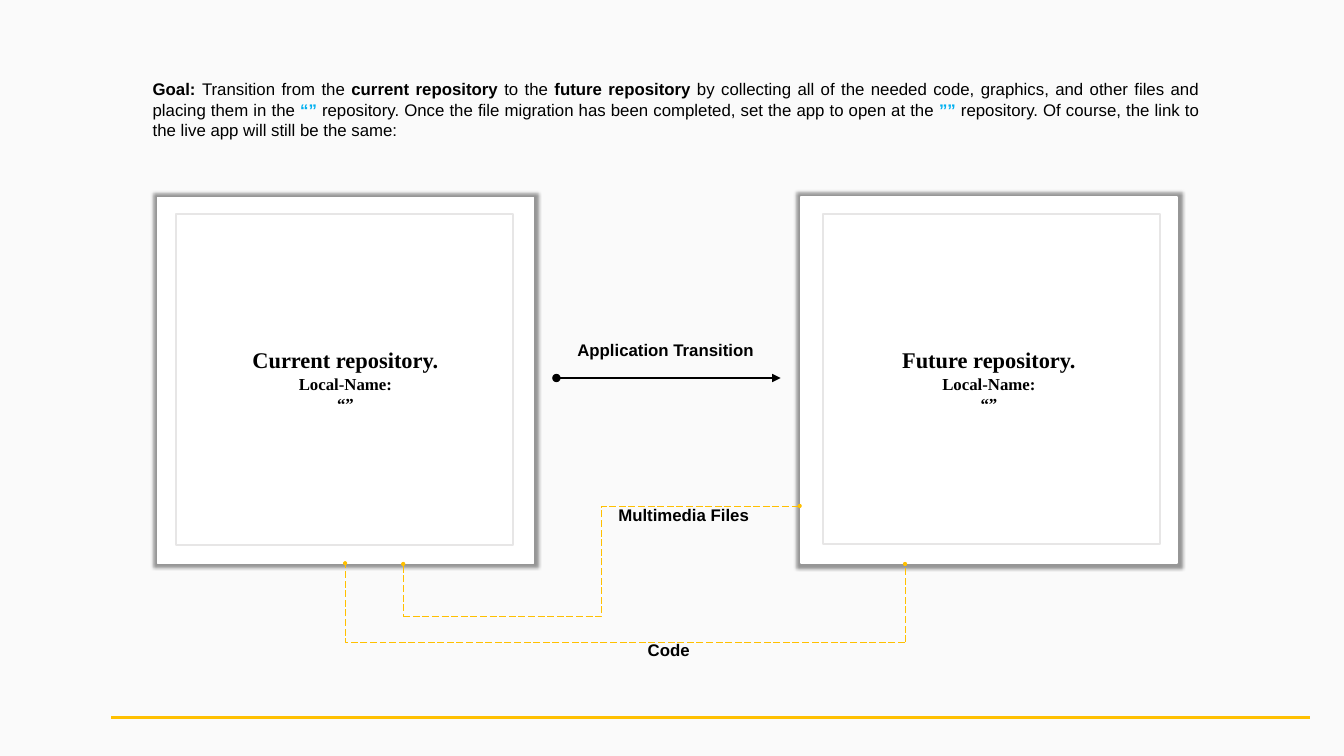
"""Build the repository transition slide."""
from lxml.etree import SubElement
from pptx import Presentation
from pptx.dml.color import RGBColor
from pptx.enum.dml import MSO_LINE_DASH_STYLE as Dash
from pptx.enum.shapes import MSO_CONNECTOR as Connector, MSO_SHAPE as Shape
from pptx.enum.text import MSO_ANCHOR as Anchor, PP_ALIGN as Align
from pptx.oxml.ns import qn
from pptx.util import Inches, Pt

BLACK = RGBColor(0x00, 0x00, 0x00)
WHITE = RGBColor(0xFF, 0xFF, 0xFF)
PAPER = RGBColor(0xFA, 0xFA, 0xFA)
GREY = RGBColor(0xE7, 0xE6, 0xE6)
GOLD = RGBColor(0xFF, 0xC0, 0x00)
BLUE = RGBColor(0x00, 0xB0, 0xF0)

deck = Presentation()
deck.slide_width, deck.slide_height = Inches(26.67), Inches(15)
COLUMN, ROW = deck.slide_width / 100, deck.slide_height / 100
page = deck.slides.add_slide(deck.slide_layouts[6])
page.background.fill.solid()
page.background.fill.fore_color.rgb = PAPER
shapes = page.shapes


def place(left, top, width, height):
    return [int(left * COLUMN), int(top * ROW), int(width * COLUMN), int(height * ROW)]


def connect(kind, start, end, color, weight, head=None, tail=None, dash=None):
    link = shapes.add_connector(kind, *place(*start, *end))
    link.line.color.rgb = color
    link.line.width = Pt(weight)
    link.line.dash_style = dash
    outline = link.line._get_or_add_ln()
    for tag, mark in (("a:headEnd", head), ("a:tailEnd", tail)):
        if mark:
            SubElement(outline, qn(tag), type=mark)
    SubElement(link._element.spPr, qn("a:effectLst"))
    return link


for name, left, weight in (("Current", 11.7, 1), ("Future", 59.58, 3)):
    panel = shapes.add_shape(Shape.RECTANGLE, *place(left, 26.07, 28, 48.4))
    panel.fill.solid()
    panel.fill.fore_color.rgb = WHITE
    panel.line.color.rgb = WHITE
    panel.line.width = Pt(weight)
    panel.shadow.inherit = False
    effects = panel._element.spPr.find(qn("a:effectLst"))
    shadow = SubElement(effects, qn("a:outerShdw"), blurRad=str(Pt(5)), sx="102000",
                        sy="102000", algn="ctr", rotWithShape="0")
    tint = SubElement(shadow, qn("a:srgbClr"), val=str(BLACK))
    SubElement(tint, qn("a:alpha"), val="40000")
    panel.text_frame.text = f"{name} repository.\nLocal-Name:\n“”"
    panel.text_frame.vertical_anchor = Anchor.MIDDLE
    for para, size in zip(panel.text_frame.paragraphs, (32, 24, 24)):
        para.alignment = Align.CENTER
        font = para.runs[0].font
        font.name, font.size, font.bold = "Times New Roman", Pt(size), True
        font.color.rgb = BLACK

connect(Connector.STRAIGHT, (41.4, 50), (58.08, 50), BLACK, 4, "oval", "triangle")

goal = shapes.add_textbox(*place(10.99, 10.13, 78.59, 8.73))
goal.text_frame.word_wrap = True
para = goal.text_frame.paragraphs[0]
para.alignment = Align.JUSTIFY
for text, bold, color in (
    ("Goal: ", True, BLACK),
    ("Transition from the ", False, BLACK),
    ("current repository ", True, BLACK),
    ("to the ", False, BLACK),
    ("future repository ", True, BLACK),
    ("by collecting all of the needed code, graphics, and other files "
     "and placing them in the ", False, BLACK),
    ("“” ", True, BLUE),
    ("repository. Once the file migration has been completed, "
     "set the app to open at the ", False, BLACK),
    ("”” ", True, BLUE),
    ("repository. Of course, the link to the live app will still be the same:", False, BLACK),
):
    span = para.add_run()
    span.text = text
    span.font.name, span.font.size, span.font.bold = "Arial", Pt(24), bold
    span.font.color.rgb = color

route = (GOLD, 1.25)
code = connect(Connector.ELBOW, (67.34, 84.95), (25.68, 74.5), *route,
               tail="oval", dash=Dash.LONG_DASH)
code._element.spPr.find(qn("a:prstGeom")).set("prst", "bentConnector2")
connect(Connector.STRAIGHT, (67.34, 84.95), (67.34, 74.6), *route,
        tail="oval", dash=Dash.LONG_DASH)
connect(Connector.STRAIGHT, (30, 74.6), (30, 81.6), *route,
        head="oval", dash=Dash.LONG_DASH)
connect(Connector.ELBOW, (30, 81.6), (59.5, 66.93), *route,
        tail="oval", dash=Dash.LONG_DASH)

for text, left, top, width in (
    ("Code", 43.79, 84.33, 11.92),
    ("Multimedia Files", 43.72, 66.47, 14.29),
    ("Application Transition", 41.06, 44.6, 16.91),
):
    label = shapes.add_textbox(*place(left, top, width, 3.33))
    label.text_frame.word_wrap = True
    label.text_frame.text = text
    para = label.text_frame.paragraphs[0]
    para.alignment = Align.CENTER
    font = para.runs[0].font
    font.name, font.size, font.bold = "Arial", Pt(24), True
    font.color.rgb = BLACK

for left, top in ((13.12, 28.33), (61.23, 28.27)):
    frame = shapes.add_shape(Shape.RECTANGLE, *place(left, top, 25.08, 43.73))
    frame.fill.background()
    frame.line.color.rgb = GREY
    frame.line.width = Pt(3)
    frame.shadow.inherit = False

connect(Connector.STRAIGHT, (8.29, 94.93), (97.49, 94.93), GOLD, 4.5)

deck.save("out.pptx")
